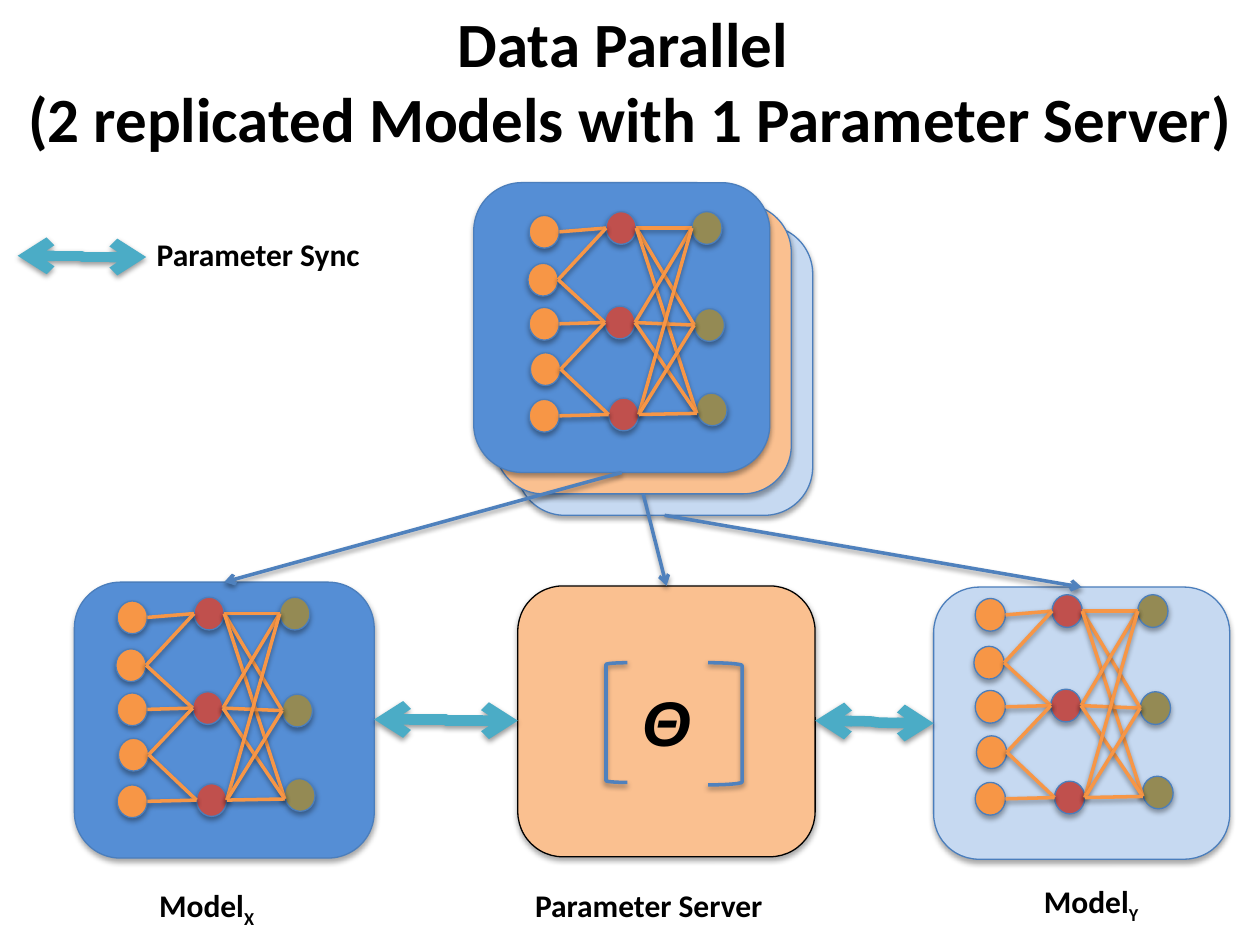
from itertools import product
from math import radians, sin

from lxml import etree
from pptx import Presentation
from pptx import util as u
from pptx.dml.color import RGBColor
from pptx.enum import shapes as s, text as t
from pptx.oxml.ns import qn

# Content
TITLE = ["Data Parallel ", "(2 replicated Models with 1 Parameter Server)"]
LABELS = [  # text, subscript, left, top
    ("Parameter Server", "", 3.95, 6.98),
    ("Model", "Y", 7.46, 6.95),
    ("Model", "X", 0.44, 6.98),
    ("Parameter Sync", "", 0.85, 1.82),
]
LABEL_SIZE = 2.4, 0.4

BLUE, PEACH, PALE = "558ED5", "FAC090", "C6D9F1"
EDGE, ACCENT, SYNC, BLACK = "4B7EBC", "4F81BD", "4BACC6", "000000"
ORANGE, RED, OLIVE = "F79646", "C0504D", "948A54"

# Stacked cards, back to front, each a step up and to the left
STACK_AT, STACK_STEP, STACK_SIZE = (4.1, 1.79), 0.17, (2.35, 2.3)
STACK_FILLS = [PALE, PEACH, BLUE]

CARDS = [  # fill, outline, box
    (BLUE, EDGE, (0.59, 4.62, 2.38, 2.19)),
    (PEACH, BLACK, (4.11, 4.65, 2.36, 2.15)),
    (PALE, EDGE, (7.41, 4.66, 2.35, 2.16)),
]
BRACKETS = [("LEFT_BRACKET", (4.81, 5.26, 0.17, 0.95)),
            ("RIGHT_BRACKET", (5.62, 5.26, 0.27, 0.97))]
SYNC_ARROWS = [("ELBOW", (2.97, 5.71), (4.11, 5.72)),
               ("CURVE", (6.47, 5.72), (7.41, 5.74)),
               ("ELBOW", (0.14, 2.03), (1.16, 2.04))]

# Neural network: node offsets inside a network, and where each network starts
NETWORKS = [(0.92, 4.74), (4.19, 1.68), (7.73, 4.72)]
NODE_W, NODE_H = 0.24, 0.26
INPUTS = [(0.01, 0.03, 0), (0, 0.41, 0), (0.01, 0.76, 0), (0.02, 1.12, 0), (0.01, 1.49, 0)]
HIDDEN = [(0.62, 0, 0), (0.61, 0.75, 0), (0.64, 1.48, 0)]
OUTPUTS = [(1.3, 0, 0), (1.32, 0.77, 0), (1.34, 1.44, -15)]
INPUT_LINKS = [(0, 0), (1, 0), (1, 1), (2, 1), (3, 1), (3, 2), (4, 2)]

prs = Presentation()
prs.slide_width, prs.slide_height = u.Inches(10), u.Inches(7.5)
slide = prs.slides.add_slide(prs.slide_layouts[5])


def inches(values):
    return [u.Inches(v) for v in values]


def rgb(color):
    return RGBColor.from_string(color)


def set_line(part, color, width):
    part.line.color.rgb = rgb(color)
    part.line.width = u.Pt(width)


def add_shadow(part, alpha, distance):
    effects = etree.SubElement(part._element.spPr, qn("a:effectLst"))
    shadow = etree.SubElement(effects, qn("a:outerShdw"), blurRad=str(u.Pt(3.1)),
                              dist=str(u.Pt(distance)), dir="5400000", rotWithShape="0")
    color = etree.SubElement(shadow, qn("a:srgbClr"), val=BLACK)
    etree.SubElement(color, qn("a:alpha"), val=str(alpha * 1000))


def add_block(kind, box, fill, outline=EDGE, width=0.75, shadow=(35, 1.8)):
    block = slide.shapes.add_shape(s.MSO_SHAPE[kind], *inches(box))
    if fill:
        block.fill.solid()
        block.fill.fore_color.rgb = rgb(fill)
    else:
        block.fill.background()
    set_line(block, outline, width)
    add_shadow(block, *shadow)
    return block


def add_link(start, end, color, width=2, kind="STRAIGHT", heads=()):
    link = slide.shapes.add_connector(s.MSO_CONNECTOR[kind], *inches((*start, *end)))
    set_line(link, color, width)
    for head in heads:
        etree.SubElement(link.line._get_or_add_ln(), qn("a:" + head), type="arrow")
    add_shadow(link, 38, 1.6)


def write(paragraph, words, size, font="Calibri", italic=False):
    run = paragraph.add_run()
    run.text = words
    paragraph.alignment = t.PP_ALIGN.CENTER
    look = {"name": font, "size": u.Pt(size), "bold": True, "italic": italic}
    for key, value in look.items():
        setattr(run.font, key, value)
    run.font.color.rgb = rgb(BLACK)
    return run


def add_network(left, top):
    layers = [[(left + x, top + y, turn) for x, y, turn in layer]
              for layer in (INPUTS, HIDDEN, OUTPUTS)]
    for layer, color in zip(layers, (ORANGE, RED, OLIVE)):
        for x, y, turn in layer:
            add_block("OVAL", (x, y, NODE_W, NODE_H), color).rotation = turn
    for layer, links in ((0, INPUT_LINKS), (1, product(range(3), repeat=2))):
        for a, b in links:
            x1, y1, _ = layers[layer][a]
            x2, y2, turn = layers[layer + 1][b]
            drop = -NODE_W / 2 * sin(radians(turn))
            add_link((x1 + NODE_W, y1 + NODE_H / 2), (x2, y2 + NODE_H / 2 + drop), ORANGE)


# Title
title = slide.shapes.title
title.left, title.top, title.width, title.height = inches((0, 0.03, 10, 1.21))
frame = title.text_frame
frame.vertical_anchor = t.MSO_ANCHOR.MIDDLE
for i, words in enumerate(TITLE):
    write(frame.add_paragraph() if i else frame.paragraphs[0], words, 36)

# Stack of replicas and the three cards below
stack = [(STACK_AT[0] - i * STACK_STEP, STACK_AT[1] - i * STACK_STEP, *STACK_SIZE)
         for i in range(len(STACK_FILLS))]
for box, fill in zip(stack, STACK_FILLS):
    add_block("ROUNDED_RECTANGLE", box, fill)
cards = [add_block("ROUNDED_RECTANGLE", box, fill, outline) for fill, outline, box in CARDS]

# Parameter matrix in the server card
server = cards[1].text_frame
server.vertical_anchor = t.MSO_ANCHOR.MIDDLE
write(server.paragraphs[0], "Θ", 36, "Arial", True)
for kind, box in BRACKETS:
    add_block(kind, box, None, ACCENT, 2, (38, 1.6))

# Arrows from each replica to its card, bottom centre to top centre
for (x1, y1, w1, h1), (_, _, (x2, y2, w2, _)) in zip(reversed(stack), CARDS):
    add_link((x1 + w1 / 2, y1 + h1), (x2 + w2 / 2, y2), ACCENT, heads=["tailEnd"])

# Synchronisation arrows
for kind, start, end in SYNC_ARROWS:
    add_link(start, end, SYNC, 6, kind, ["headEnd", "tailEnd"])

# Labels
for words, subscript, left, top in LABELS:
    label = slide.shapes.add_textbox(*inches((left, top, *LABEL_SIZE))).text_frame
    label.word_wrap = True
    write(label.paragraphs[0], words, 18)
    if subscript:
        run = write(label.paragraphs[0], subscript, 18)
        run.font._element.set("baseline", "-25000")

# Networks
for origin in NETWORKS:
    add_network(*origin)

prs.save("out.pptx")
